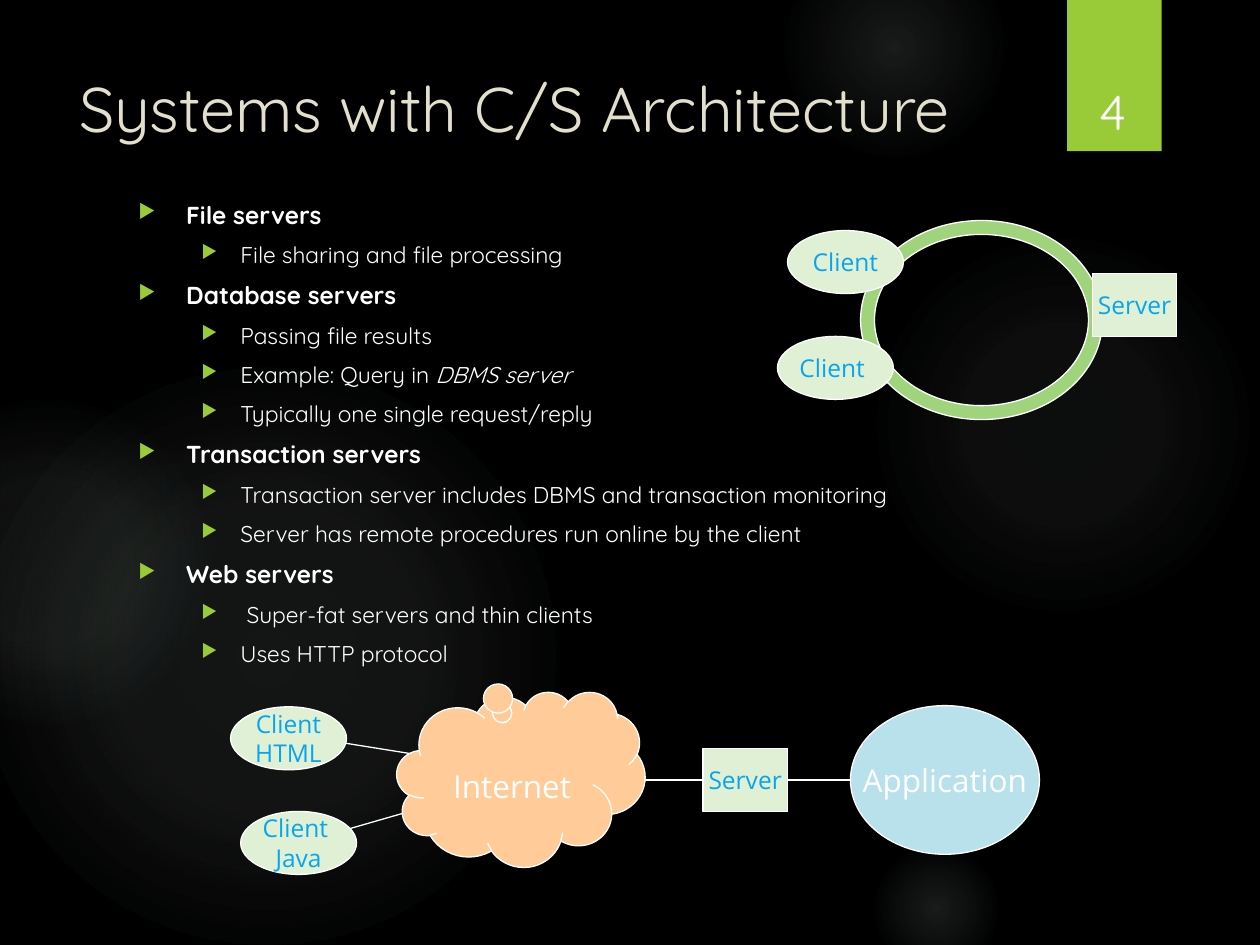
from pptx import Presentation
from pptx.dml.color import RGBColor
from pptx.enum.shapes import MSO_CONNECTOR as Link, MSO_SHAPE as Kind
from pptx.enum.text import MSO_ANCHOR as Anchor, PP_ALIGN as Align
from pptx.oxml import parse_xml
from pptx.oxml.ns import nsdecls
from pptx.util import Inches, Pt

HEAD, BODY = "Quicksand", "Open Sans"
WHITE, GREEN, MINT, BLUE = "FFFFFF", "99CB38", "DFF0D4", "08A5EF"

GLOWS = [
    (6.89, 1.83, 3.08, [(0, 7), (36, 6), (69, 0)]),
    (6.22, -0.5, 1.75, [(0, 14), (36, 7), (73, 0)]),
    (6.89, 6.67, 1.08, [(0, 14), (36, 7), (66, 0)]),
    (-0.17, 2.92, 4.58, [(0, 11), (36, 10), (75, 0)]),
    (-0.92, 3.17, 2.58, [(0, 8), (36, 8), (72, 0)]),
]
TITLE = "Systems with C/S Architecture"
TOPICS = [
    ("File servers", ["File sharing and file processing"]),
    ("Database servers", [
        "Passing file results",
        ("Example: Query in ", "DBMS server"),
        "Typically one single request/reply",
    ]),
    ("Transaction servers", [
        "Transaction server includes DBMS and transaction monitoring",
        "Server has remote procedures run online by the client",
    ]),
    ("Web servers", [" Super-fat servers and thin clients", "Uses HTTP protocol"]),
]
LINKS = [
    (2.66, 6.61, 3.25, 6.44),
    (2.5, 5.86, 3.5, 6.02),
    (4.75, 6.19, 7.16, 6.19),
]
CLIENT = (Kind.OVAL, 0.92, 0.5, MINT, 14, BLUE)
SERVER = (Kind.RECTANGLE, 0.67, 0.5, MINT, 14, BLUE)
CLOUD = (Kind.CLOUD_CALLOUT, 1.97, 1.39, "FFCC99", 18, WHITE)
APP = (Kind.OVAL, 1.5, 1.18, "B8E1EC", 18, WHITE)
RING = (Kind.DONUT, 1.92, 1.58, "9FD47D", 14, WHITE)
LAN = [
    (RING, 6.83, 1.75, ""),
    (CLIENT, 6.25, 1.83, "Client"),
    (CLIENT, 6.17, 2.67, "Client "),
    (SERVER, 8.67, 2.17, "Server"),
]
WEB = [
    (SERVER, 5.58, 5.94, "Server"),
    (CLOUD, 3.15, 5.49, "Internet"),
    (CLIENT, 1.91, 6.44, "Client \nJava"),
    (CLIENT, 1.83, 5.61, "Client\nHTML"),
    (APP, 6.75, 5.6, "Application"),
]


def color(code):
    return RGBColor.from_string(code)


def style(run, size, code, font=HEAD, bold=False, italic=False):
    run.font.name, run.font.size = font, Pt(size)
    run.font.bold, run.font.italic = bold, italic
    run.font.color.rgb = color(code)


def shape(kind, x, y, w, h, fill=None):
    item = slide.shapes.add_shape(kind, *map(Inches, (x, y, w, h)))
    item.shadow.inherit = False
    item.line.fill.background()
    if fill:
        item.fill.solid()
        item.fill.fore_color.rgb = color(fill)
    return item


def glow(x, y, size, stops):
    item = shape(Kind.OVAL, x, y, size, size)
    marks = "".join(
        f'<a:gs pos="{pos * 1000}"><a:srgbClr val="AFC5B9">'
        f'<a:alpha val="{alpha * 1000}"/></a:srgbClr></a:gs>'
        for pos, alpha in stops)
    grad = parse_xml(
        f'<a:gradFill {nsdecls("a")} rotWithShape="1"><a:gsLst>{marks}</a:gsLst>'
        '<a:path path="circle"><a:fillToRect l="50000" t="50000" r="50000" b="50000"/>'
        '</a:path></a:gradFill>')
    item._element.spPr.find("{*}prstGeom").addnext(grad)


def textbox(x, y, w, h):
    frame = slide.shapes.add_textbox(*map(Inches, (x, y, w, h))).text_frame
    frame.word_wrap = True
    return frame


def label(x, y, w, h, text, size, code):
    frame = textbox(x, y, w, h)
    frame.text = text
    style(frame.paragraphs[0].runs[0], size, code)
    return frame


def bullet(para, left, hang):
    props = para._p.get_or_add_pPr()
    props.set("marL", str(Inches(left)))
    props.set("indent", str(-Inches(hang)))
    para.line_spacing, para.space_before = 0.8, Pt(10)
    for part in (f'buClr {nsdecls("a")}><a:srgbClr val="{GREEN}"/></a:buClr>',
                 f'buSzPct {nsdecls("a")} val="80000"/>',
                 f'buChar {nsdecls("a")} char="▶"/>'):
        props.append(parse_xml("<a:" + part))


def outline(frame):
    rows = []
    for topic, points in TOPICS:
        rows.append((topic, 0))
        rows += [(point, 1) for point in points]
    for i, (text, level) in enumerate(rows):
        para = frame.add_paragraph() if i else frame.paragraphs[0]
        para.level = level
        bullet(para, *((0.81, 0.31) if level else (0.38, 0.38)))
        parts = (text,) if isinstance(text, str) else text
        for j, part in enumerate(parts):
            run = para.add_run()
            run.text = part
            style(run, 13 if level else 14, WHITE, bold=not level, italic=j > 0)


def node(look, x, y, text):
    kind, w, h, fill, size, code = look
    item = shape(kind, x, y, w, h, fill)
    item.line.color.rgb = color(WHITE)
    item.line.width = Pt(0.75)
    frame = item.text_frame
    frame.word_wrap = look is CLOUD
    frame.vertical_anchor = Anchor.MIDDLE
    if look is RING:
        item.adjustments[0] = 0.07
    if look is CLOUD:
        item.adjustments[0], item.adjustments[1] = -0.07, -0.35
        frame.vertical_anchor = Anchor.TOP
        frame.margin_top = Inches(0.39)
    if text:
        frame.text = text
    for para in frame.paragraphs:
        para.alignment = Align.CENTER
        for run in para.runs:
            style(run, size, code, BODY)


def link(*ends):
    line = slide.shapes.add_connector(Link.STRAIGHT, *map(Inches, ends))
    line.line.color.rgb = color(WHITE)
    line.line.width = Pt(0.75)
    line._element.spPr.append(parse_xml(f'<a:effectLst {nsdecls("a")}/>'))


deck = Presentation()
deck.slide_width, deck.slide_height = Inches(10), Inches(7.5)
slide = deck.slides.add_slide(deck.slide_layouts[6])
slide.background.fill.solid()
slide.background.fill.fore_color.rgb = color("000000")

for spot in GLOWS:
    glow(*spot)
shape(Kind.RECTANGLE, 8.47, 0, 0.75, 1.2, GREEN)
label(0.53, 0.5, 7.72, 0.96, TITLE, 36, "E2DFCC")
outline(textbox(1, 1.58, 8.5, 3.78))
page = label(8.49, 0.32, 0.69, 0.84, "4", 28, WHITE)
page.vertical_anchor = Anchor.BOTTOM
page.paragraphs[0].alignment = Align.CENTER
for part in LAN:
    node(*part)
for ends in LINKS:
    link(*ends)
for part in WEB:
    node(*part)

deck.save("out.pptx")
